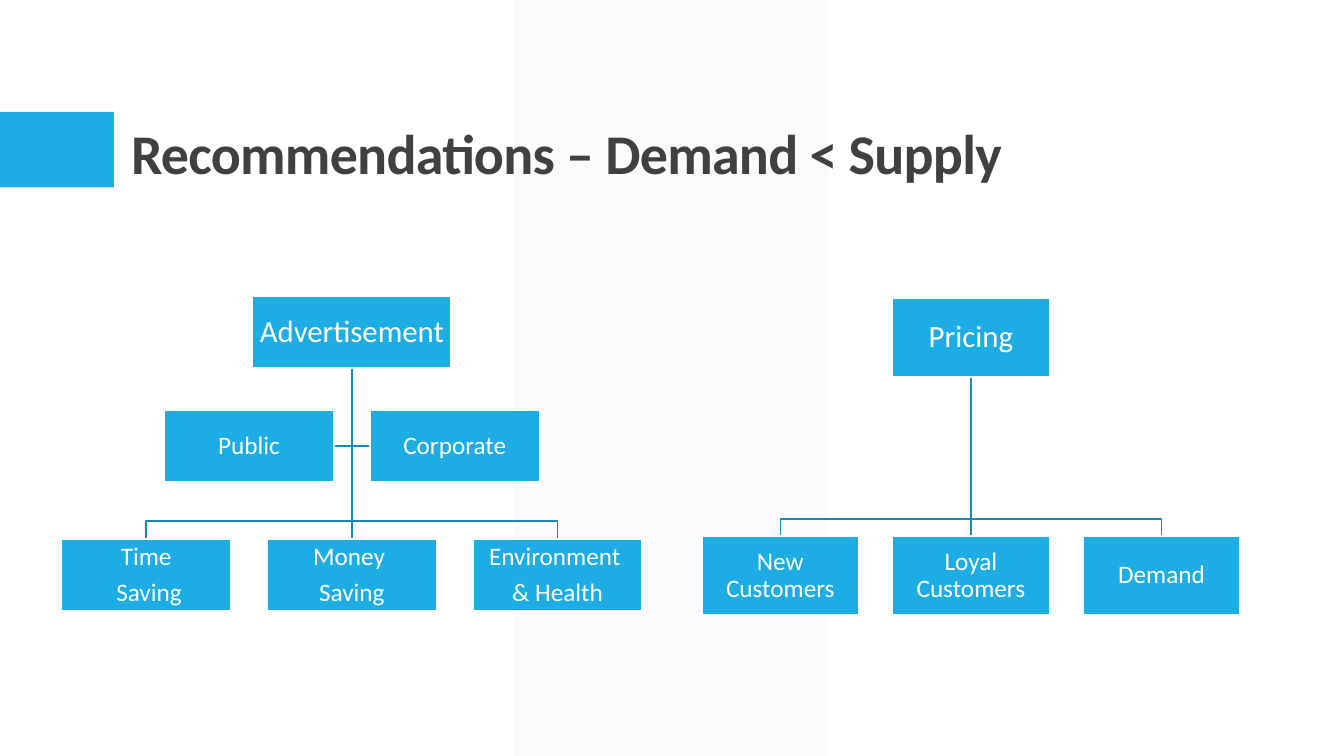
"""Build the recommendations slide with its two organisation trees."""
from dataclasses import dataclass

from lxml.etree import SubElement
from pptx import Presentation
from pptx.dml.color import RGBColor
from pptx.enum.shapes import MSO_CONNECTOR, MSO_SHAPE
from pptx.enum.text import MSO_ANCHOR, PP_ALIGN
from pptx.oxml.ns import qn
from pptx.shapes.autoshape import Shape
from pptx.slide import Slide
from pptx.util import Inches, Pt


@dataclass(frozen=True)
class Theme:
    font: str = "Calibri"
    accent: RGBColor = RGBColor(0x1C, 0xAD, 0xE4)
    branch: RGBColor = RGBColor(0x16, 0x8B, 0xB7)
    band: RGBColor = RGBColor(0xF2, 0xF2, 0xF2)
    heading: RGBColor = RGBColor(0x40, 0x40, 0x40)
    white: RGBColor = RGBColor(0xFF, 0xFF, 0xFF)
    title_size: Pt = Pt(40)
    root_size: Pt = Pt(22)
    child_size: Pt = Pt(18)
    line_width: Pt = Pt(1.25)
    line_spacing: float = 0.9
    paragraph_gap: float = 0.35


@dataclass(frozen=True)
class Tree:
    root: str
    children: tuple[tuple[str, ...], ...]
    assistants: tuple[str, ...]
    center: float
    root_top: float
    root_width: float
    child_top: float
    child_width: float
    height: float
    pitch: float
    assistant_top: float = 0
    drop: float = 0.18


THEME = Theme()
TREES = (
    Tree("Advertisement",
         (("Time", " Saving"), ("Money ", "Saving"), ("Environment ", "& Health")),
         ("Public", "Corporate"),
         center=3.49, root_top=2.94, root_width=1.97, child_top=5.35,
         child_width=1.68, height=0.71, pitch=2.04, assistant_top=4.07),
    Tree("Pricing",
         (("New Customers",), ("Loyal Customers",), ("Demand",)), (),
         center=9.63, root_top=2.96, root_width=1.56, child_top=5.32,
         child_width=1.56, height=0.78, pitch=1.89, drop=0.17),
)


def add_block(slide: Slide, kind: MSO_SHAPE, left: float, top: float,
              width: float, height: float, color: RGBColor) -> Shape:
    block = slide.shapes.add_shape(
        kind, Inches(left), Inches(top), Inches(width), Inches(height))
    block.shadow.inherit = False
    block.fill.solid()
    block.fill.fore_color.rgb = color
    block.line.fill.background()
    return block


def add_node(slide: Slide, lines: tuple[str, ...], center: float, top: float,
             width: float, height: float, size: Pt, inset: float = 0.01) -> None:
    node = add_block(slide, MSO_SHAPE.RECTANGLE, center - width / 2, top,
                     width, height, THEME.accent)
    node.line.color.rgb = THEME.white
    node.line.width = THEME.line_width
    frame = node.text_frame
    frame.word_wrap = True
    frame.vertical_anchor = MSO_ANCHOR.MIDDLE
    frame.margin_left = frame.margin_right = Inches(inset)
    frame.margin_top = frame.margin_bottom = Inches(inset)
    for index, line in enumerate(lines):
        paragraph = frame.add_paragraph() if index else frame.paragraphs[0]
        paragraph.alignment = PP_ALIGN.CENTER
        paragraph.line_spacing = THEME.line_spacing
        paragraph.space_after = Pt(size.pt * THEME.paragraph_gap)
        run = paragraph.add_run()
        run.text = line
        run.font.name = THEME.font
        run.font.size = size
        run.font.color.rgb = THEME.white


def add_branch(slide: Slide, *points: tuple[float, float]) -> None:
    corners = [(Inches(x), Inches(y)) for x, y in points]
    if len(corners) == 2:
        branch = slide.shapes.add_connector(
            MSO_CONNECTOR.STRAIGHT, *corners[0], *corners[1])
        SubElement(branch.element.spPr, qn("a:effectLst"))
    else:
        builder = slide.shapes.build_freeform(*corners[0])
        builder.add_line_segments(corners[1:], close=False)
        branch = builder.convert_to_shape()
        branch.shadow.inherit = False
        branch.fill.background()
    branch.line.color.rgb = THEME.branch
    branch.line.width = THEME.line_width


def add_tree(slide: Slide, tree: Tree) -> None:
    trunk = (tree.center, tree.root_top + tree.height)
    child_centers = [tree.center + step * tree.pitch for step in (-1, 0, 1)]
    assistant_centers = [tree.center + side * tree.pitch / 2 for side in (-1, 1)]
    assistant_middle = tree.assistant_top + tree.height / 2
    fork = tree.child_top - tree.drop

    for center, _ in zip(assistant_centers, tree.assistants):
        side = 1 if center > tree.center else -1
        edge = center - side * tree.child_width / 2
        add_branch(slide, trunk, (tree.center, assistant_middle),
                   (edge, assistant_middle))
    for center in child_centers:
        bend = [] if center == tree.center else [(tree.center, fork), (center, fork)]
        add_branch(slide, trunk, *bend, (center, tree.child_top))

    add_node(slide, (tree.root,), tree.center, tree.root_top, tree.root_width,
             tree.height, THEME.root_size, inset=0.02)
    for center, lines in zip(child_centers, tree.children):
        add_node(slide, lines, center, tree.child_top, tree.child_width,
                 tree.height, THEME.child_size)
    for center, label in zip(assistant_centers, tree.assistants):
        add_node(slide, (label,), center, tree.assistant_top, tree.child_width,
                 tree.height, THEME.child_size)


def add_backdrop(slide: Slide) -> None:
    band = add_block(slide, MSO_SHAPE.PARALLELOGRAM, 5.1, 0, 3.12, 7.5, THEME.band)
    band.adjustments[0] = 0
    color = band.element.spPr.find(qn("a:solidFill")).find(qn("a:srgbClr"))
    SubElement(color, qn("a:alpha"), val="30000")
    add_block(slide, MSO_SHAPE.RECTANGLE, 0, 1.11, 1.13, 0.75, THEME.accent)


def set_title(slide: Slide, text: str) -> None:
    title = slide.shapes.title
    title.element.getparent().append(title.element)
    title.left, title.top = Inches(1.2), Inches(0.31)
    title.width, title.height = Inches(11), Inches(1.59)
    title.text_frame.word_wrap = True
    title.text_frame.vertical_anchor = MSO_ANCHOR.BOTTOM
    paragraph = title.text_frame.paragraphs[0]
    paragraph.alignment = PP_ALIGN.LEFT
    paragraph.line_spacing = THEME.line_spacing
    run = paragraph.add_run()
    run.text = text
    run.font.name = THEME.font
    run.font.size = THEME.title_size
    run.font.bold = True
    run.font.color.rgb = THEME.heading
    run.font._element.set("spc", "-50")


def main() -> None:
    deck = Presentation()
    deck.slide_width, deck.slide_height = Inches(13.33), Inches(7.5)
    slide = deck.slides.add_slide(deck.slide_layouts.get_by_name("Title Only"))
    add_backdrop(slide)
    set_title(slide, "Recommendations – Demand < Supply")
    for tree in TREES:
        add_tree(slide, tree)
    deck.save("out.pptx")


if __name__ == "__main__":
    main()
